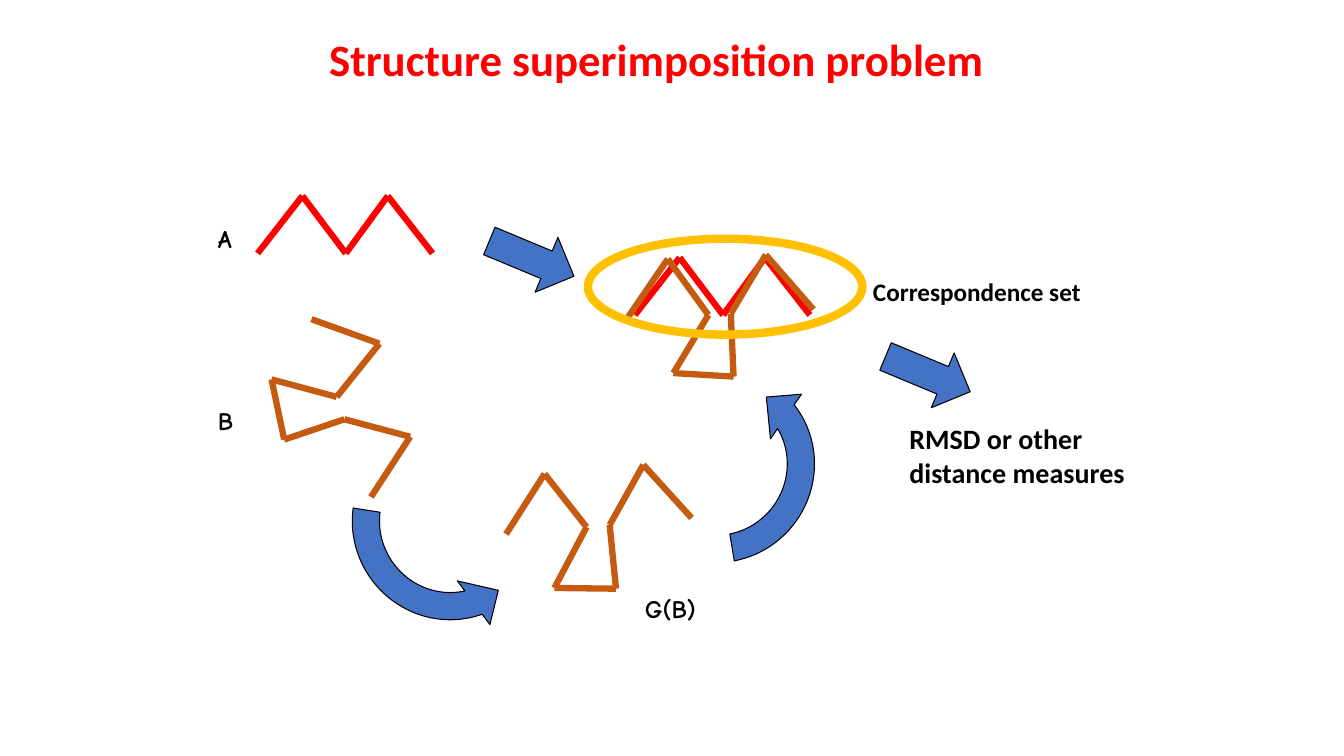
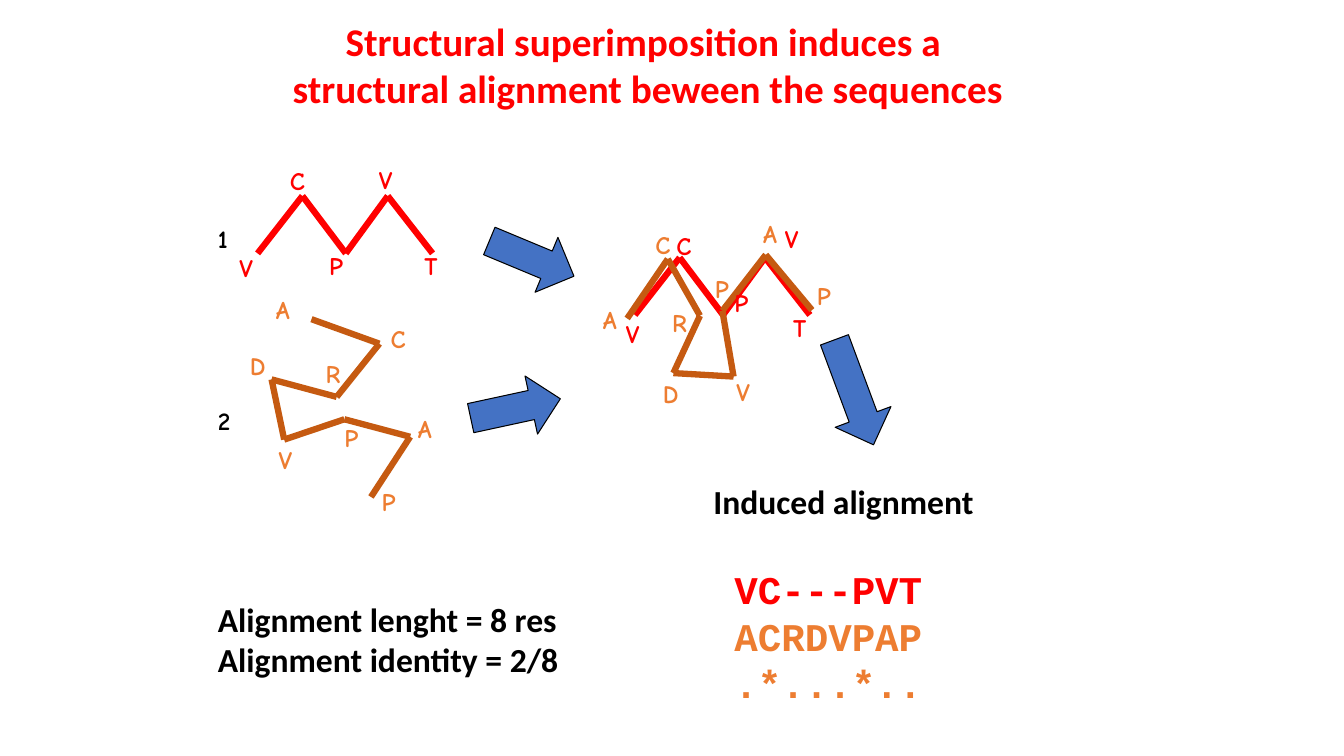
"""Build two slides on superimposing structures and the alignment it induces."""
import itertools
from dataclasses import dataclass
from typing import Any, Sequence

import lxml.etree
import pptx
import pptx.dml.color
import pptx.enum.shapes
import pptx.enum.text
import pptx.oxml.ns
import pptx.util

Pt = pptx.util.Pt
Point = tuple[float, float]

RED, BROWN, ORANGE = "FF0000", "C55A11", "ED7D31"
BLUE, GOLD, BLACK = "4472C4", "FFC000", "000000"
SANS, HAND, MONO = "Calibri", "Comic Neue", "Courier New"
TITLE_ONLY = 5


@dataclass(frozen=True)
class Box:
    left: float
    top: float
    width: float
    height: float


@dataclass(frozen=True)
class Chain:
    points: Sequence[Point]
    colour: str


@dataclass(frozen=True)
class Label:
    text: str
    box: Box
    size: float = 18
    font: str = SANS
    colours: Sequence[str] = (BLACK,)


@dataclass(frozen=True)
class Arrow:
    box: Box
    rotation: float
    curved: bool = False


@dataclass(frozen=True)
class Page:
    title: str
    title_box: Box
    title_size: float
    chains: Sequence[Chain]
    arrows: Sequence[Arrow]
    labels: Sequence[Label]
    ring: Box | None = None


def shift(points: Sequence[Point], across: float, down: float) -> list[Point]:
    """Move every point by the same distance."""
    return [(x + across, y + down) for x, y in points]


def letter(text: str, left: float, top: float, colour: str = BLACK) -> Label:
    """Make a short handwritten label."""
    return Label(text, Box(left, top, 28 if len(text) == 1 else 60, 29), 18, HAND, (colour,))


def residues(sequence: str, places: Sequence[Point], colour: str) -> list[Label]:
    """Make one letter label for each residue of a sequence."""
    return [letter(name, x, y, colour) for name, (x, y) in zip(sequence, places)]


FOLD_A = [(184, 181), (216, 140), (247, 181), (277, 140), (309, 181)]
FOLD_B = [(222.5, 228), (271, 245.5), (240.5, 283.5), (194, 271),
          (203, 314), (246, 299.5), (293, 312), (265, 355)]
MOVED_B = [(361.5, 381.5), (389, 338.5), (419, 376.5), (396, 420),
           (440, 420.5), (435.5, 375), (459.5, 332), (494, 370)]
FITTED_B = [(448, 227.5), (477, 185), (506, 225), (481, 266.5),
            (524, 269), (522, 224), (547, 182), (581, 221)]
ALIGNED_B = [(448, 227.5), (477, 185), (500, 225.5), (481, 266.5),
             (524, 269), (516, 222), (547, 182), (580, 221.5)]
SEQUENCE_A, SEQUENCE_B = "VCPVT", "ACRDVPAP"

START_CHAINS = [Chain(FOLD_A, RED), Chain(FOLD_B, BROWN), Chain(shift(FOLD_A, 269.5, 44), RED)]
FIRST_ARROW = Arrow(Box(347, 163.5, 65.5, 42.5), 22.6)

PAGES = [
    Page(
        "Structure superimposition problem", Box(217, 19, 504, 46), 32,
        START_CHAINS + [Chain(FITTED_B, BROWN), Chain(MOVED_B, BROWN)],
        [
            FIRST_ARROW,
            Arrow(Box(630, 246, 65.5, 42.5), 22.6),
            Arrow(Box(241, 296, 158.5, 155.5), 53.3, True),
            Arrow(Box(434, 255, 158.5, 155.5), 304.8, True),
        ],
        [
            letter("A", 148.5, 156),
            letter("B", 148.5, 286),
            letter("G(B)", 453.5, 420.5),
            Label("Correspondence set", Box(616.5, 193.5, 180, 29)),
            Label("RMSD or other distance measures", Box(642.5, 297.5, 209.5, 55.5), 20),
        ],
        Box(420, 170.5, 196, 68.5),
    ),
    Page(
        "Structural superimposition induces a \nstructural alignment beween the sequences",
        Box(122.5, 8.5, 680, 75), 28,
        START_CHAINS + [Chain(ALIGNED_B, BROWN)],
        [
            FIRST_ARROW,
            Arrow(Box(335.5, 270.5, 65.5, 42.5), 347.8),
            Arrow(Box(570, 259, 80, 42.5), 69.6),
        ],
        [
            letter("1", 148.5, 156),
            letter("2", 148.5, 286),
            *residues(SEQUENCE_A, [(164, 177), (200, 114.5), (228, 175.5),
                                   (263.5, 114), (296, 175)], RED),
            *residues(SEQUENCE_B, [(190, 207), (272, 227.5), (225.5, 252.5), (171.5, 247),
                                   (192, 314), (239, 298), (291.5, 292), (265.5, 343.5)], ORANGE),
            *residues(SEQUENCE_A, [(440, 224), (476, 161), (517.5, 202),
                                   (553.5, 156), (559.5, 219.5)], RED),
            *residues(SEQUENCE_B, [(423.5, 214), (461, 160), (473, 216), (466.5, 267),
                                   (519, 265.5), (503.5, 192), (538, 152.5), (576.5, 196.5)], ORANGE),
            Label("Induced alignment", Box(502.5, 340, 283, 36), 24),
            Label("VC---PVT\nACRDVPAP\n.*...*..", Box(517.5, 400.5, 160, 108.5),
                  28, MONO, (RED, ORANGE)),
            Label("Alignment lenght = 8 res\nAlignment identity = 2/8",
                  Box(148.5, 424, 320, 65.5), 24),
        ],
    ),
]


def apply(target: Any, values: dict[str, Any]) -> None:
    """Set several attributes of an object."""
    for name, value in values.items():
        setattr(target, name, value)


def paint(fill: Any, colour: str) -> None:
    """Give a fill one solid colour."""
    fill.solid()
    fill.fore_color.rgb = pptx.dml.color.RGBColor.from_string(colour)


def outline(shape: Any, colour: str, width: float) -> None:
    """Give a shape a plain line."""
    paint(shape.line.fill, colour)
    shape.line.width = Pt(width)


def place(box: Box) -> list[int]:
    """Turn a box into slide lengths."""
    return [Pt(length) for length in (box.left, box.top, box.width, box.height)]


def write(frame: Any, label: Label, align: Any) -> None:
    """Fill a text frame with the formatted lines of a label."""
    apply(frame, {
        "text": label.text,
        "word_wrap": True,
        "auto_size": pptx.enum.text.MSO_AUTO_SIZE.NONE,
        "vertical_anchor": pptx.enum.text.MSO_ANCHOR.TOP,
    })
    for index, para in enumerate(frame.paragraphs):
        para.alignment = align
        for span in para.runs:
            apply(span.font, {"name": label.font, "size": Pt(label.size), "bold": True})
            paint(span.font.fill, label.colours[min(index, len(label.colours) - 1)])


def draw_title(slide: Any, page: Page) -> None:
    """Move and fill the title placeholder."""
    title = slide.shapes.title
    apply(title, dict(zip(("left", "top", "width", "height"), place(page.title_box))))
    label = Label(page.title, page.title_box, page.title_size, SANS, (RED,))
    write(title.text_frame, label, pptx.enum.text.PP_ALIGN.CENTER)


def draw_chain(slide: Any, chain: Chain) -> None:
    """Join the points of a chain with straight lines."""
    for start, end in itertools.pairwise(chain.points):
        line = slide.shapes.add_connector(
            pptx.enum.shapes.MSO_CONNECTOR.STRAIGHT, *map(Pt, start + end))
        outline(line, chain.colour, 4.5)
        lxml.etree.SubElement(line.element.spPr, pptx.oxml.ns.qn("a:effectLst"))


def draw_arrow(slide: Any, arrow: Arrow) -> None:
    """Draw a straight or curved block arrow."""
    kinds = pptx.enum.shapes.MSO_SHAPE
    kind = kinds.CIRCULAR_ARROW if arrow.curved else kinds.RIGHT_ARROW
    shape = slide.shapes.add_shape(kind, *place(arrow.box))
    shape.shadow.inherit = False
    shape.rotation = arrow.rotation
    if arrow.curved:
        shape.element.spPr.xfrm.set("flipV", "1")
        for index, value in enumerate((0.125, 11.42, 204.58, 134.53, 0.125)):
            shape.adjustments[index] = value
    paint(shape.fill, BLUE)
    outline(shape, BLACK, 0.75)


def draw_ring(slide: Any, box: Box) -> None:
    """Draw the ellipse around the matching parts."""
    ring = slide.shapes.add_shape(pptx.enum.shapes.MSO_SHAPE.OVAL, *place(box))
    ring.shadow.inherit = False
    ring.fill.background()
    outline(ring, GOLD, 6)


def draw_label(slide: Any, label: Label) -> None:
    """Add a text box for a label."""
    box = slide.shapes.add_textbox(*place(label.box))
    write(box.text_frame, label, pptx.enum.text.PP_ALIGN.LEFT)


def main() -> None:
    """Build and save the deck."""
    deck = pptx.Presentation()
    apply(deck, {"slide_width": Pt(960), "slide_height": Pt(540)})
    for page in PAGES:
        slide = deck.slides.add_slide(deck.slide_layouts[TITLE_ONLY])
        draw_title(slide, page)
        for chain in page.chains:
            draw_chain(slide, chain)
        for arrow in page.arrows:
            draw_arrow(slide, arrow)
        if page.ring:
            draw_ring(slide, page.ring)
        for label in page.labels:
            draw_label(slide, label)
    deck.save("out.pptx")


if __name__ == "__main__":
    main()
